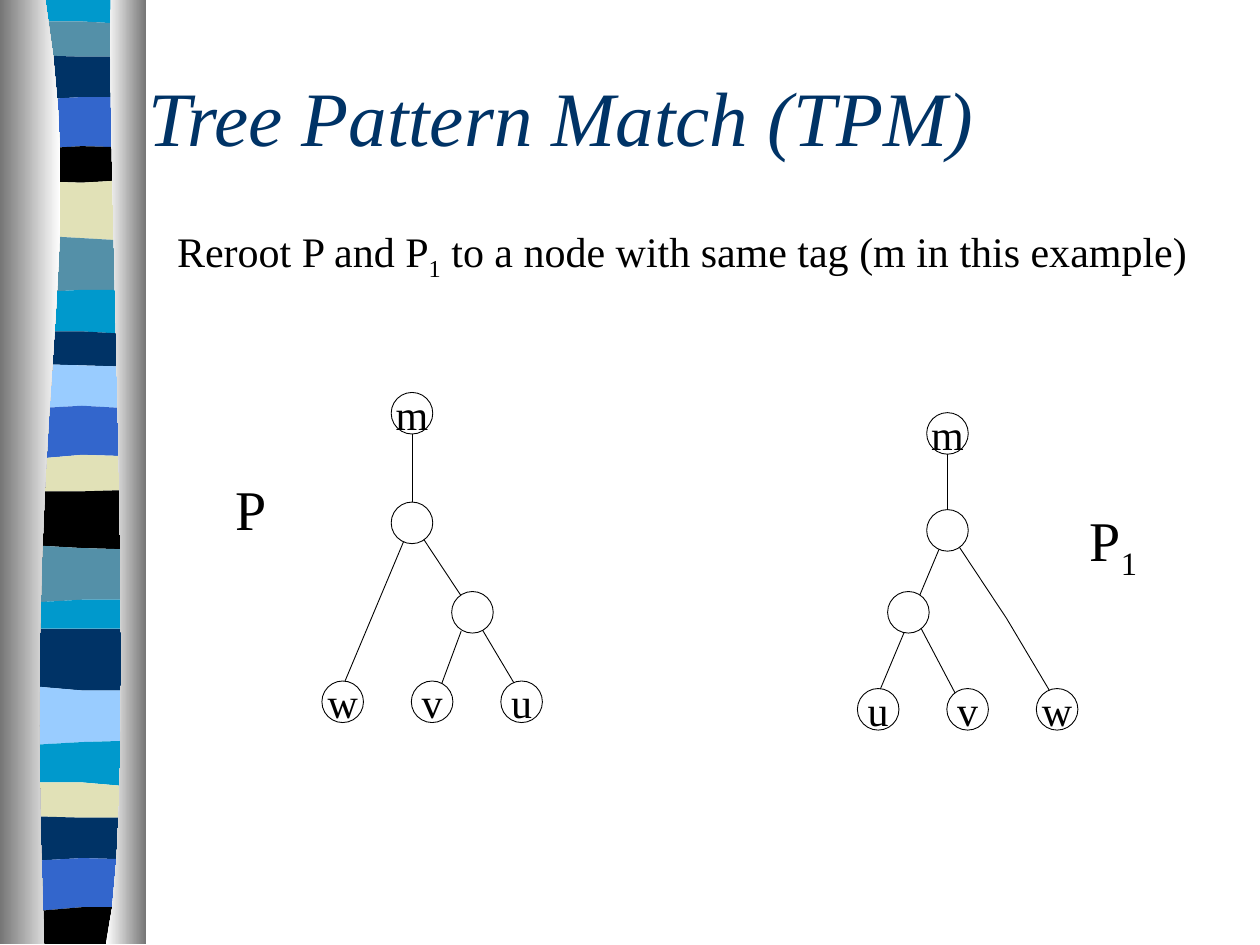
from lxml import etree
from pptx import Presentation
from pptx.dml.color import RGBColor
from pptx.enum import shapes, text
from pptx.oxml.ns import qn
from pptx.util import Inches, Pt

FONT = "Times New Roman"
COLORS = {
    "navy": "003366", "cyan": "0099CC", "teal": "5490A8", "blue": "3366CC",
    "sky": "99CCFF", "sand": "E1E1B7", "black": "000000", "white": "FFFFFF",
    "grey": "767676",
}
# Each stripe: colour, then the height of its upper edge at three places across
STRIPES = [
    ("cyan", 0, 0, 0), ("teal", 0.17, 0.17, 0.19), ("navy", 0.44, 0.45, 0.45),
    ("blue", 0.79, 0.77, 0.77), ("black", 1.18, 1.16, 1.17),
    ("sand", 1.44, 1.45, 1.43), ("teal", 1.87, 1.89, 1.91),
    ("cyan", 2.32, 2.3, 2.3), ("navy", 2.63, 2.63, 2.65),
    ("sky", 2.89, 2.9, 2.91), ("blue", 3.24, 3.22, 3.24),
    ("sand", 3.64, 3.61, 3.62), ("black", 3.9, 3.9, 3.89),
    ("teal", 4.33, 4.35, 4.36), ("cyan", 4.78, 4.76, 4.76),
    ("navy", 4.99, 4.99, 4.99), ("sky", 5.45, 5.48, 5.48),
    ("cyan", 5.91, 5.89, 5.88), ("sand", 6.21, 6.21, 6.24),
    ("navy", 6.48, 6.49, 6.49), ("blue", 6.83, 6.81, 6.82),
    ("black", 7.23, 7.2, 7.2),
]
RIBBON_BOTTOM = 7.49
STRIPE_XS = (0.3, 0.65, 1.0)
NODE_SIZE = 0.33
LEAF_GAP = 0.71

# Inner nodes are (label, centre x, centre y); leaves stand in an even row
TREE_P = {
    "edges": [(3.27, 3.36, 3.27, 4.14), (3.27, 4.14, 3.74, 4.85),
              (3.27, 4.14, 2.64, 5.64), (3.66, 5.01, 3.43, 5.63),
              (3.74, 4.85, 4.21, 5.64)],
    "inner": [("m", 3.27, 3.28), ("", 3.27, 4.15), ("", 3.75, 4.86)],
    "leaves": ("wvu", 2.72, 5.57),
}
TREE_P1 = {
    "edges": [(7.52, 3.51, 7.52, 4.3), (7.52, 4.2, 7.99, 4.91),
              (7.52, 4.2, 6.89, 5.7), (7.28, 4.93, 7.68, 5.69),
              (7.99, 4.91, 8.46, 5.7)],
    "inner": [("m", 7.52, 3.44), ("", 7.52, 4.21), ("", 7.21, 4.86)],
    "leaves": ("uvw", 6.97, 5.63),
}


def rgb(name):
    return RGBColor.from_string(COLORS[name])


def bezier(*controls, steps=14):
    """Points along a Bezier curve."""
    def blend(points, t):
        while len(points) > 1:
            points = [tuple(a + (b - a) * t for a, b in zip(p, q))
                      for p, q in zip(points, points[1:])]
        return points[0]
    return [blend(controls, i / steps) for i in range(steps + 1)]


def add_outline(slide, points):
    start, *rest = [(Inches(x), Inches(y)) for x, y in points]
    builder = slide.shapes.build_freeform(*start, scale=1.0)
    builder.add_line_segments(rest, close=True)
    outline = builder.convert_to_shape()
    outline.shadow.inherit = False
    outline.line.fill.background()
    return outline


def add_stripes(slide):
    edges = [list(zip(STRIPE_XS, heights)) for _, *heights in STRIPES]
    edges.append([(x, RIBBON_BOTTOM) for x in STRIPE_XS])
    for (color, *_), upper, lower in zip(STRIPES, edges, edges[1:]):
        stripe = add_outline(slide, upper + lower[::-1])
        stripe.fill.solid()
        stripe.fill.fore_color.rgb = rgb(color)


def add_column(slide, curve, outer_x, stops):
    """Shaded side of the ribbon, between a curve and a straight outer edge."""
    column = add_outline(
        slide, curve + [(outer_x, RIBBON_BOTTOM), (outer_x, 0)])
    column.fill.gradient()
    column.fill.gradient_angle = 0
    for stop, color in zip(column.fill.gradient_stops, stops):
        stop.color.rgb = rgb(color)


def write(frame, parts, size, color="black", align=text.PP_ALIGN.CENTER,
          italic=False, **frame_format):
    """Fill a frame with one paragraph; parts are (words, is_subscript)."""
    for name, value in frame_format.items():
        setattr(frame, name, value)
    paragraph = frame.paragraphs[0]
    paragraph.alignment = align
    for words, is_subscript in parts:
        run = paragraph.add_run()
        run.text = words
        style = {"name": FONT, "size": Pt(size), "italic": italic}
        for name, value in style.items():
            setattr(run.font, name, value)
        run.font.color.rgb = rgb(color)
        if is_subscript:
            run.font._element.set("baseline", "-25000")


def add_label(slide, box, parts, size):
    label = slide.shapes.add_textbox(*map(Inches, box))
    write(label.text_frame, parts, size, word_wrap=False)


def add_title(slide, words):
    title = slide.shapes.title
    place = {"left": 1.08, "top": 0.58, "width": 8.67, "height": 0.67}
    for name, value in place.items():
        setattr(title, name, Inches(value))
    write(title.text_frame, [(words, False)], 44, "navy", text.PP_ALIGN.LEFT,
          italic=True, vertical_anchor=text.MSO_ANCHOR.MIDDLE,
          auto_size=text.MSO_AUTO_SIZE.NONE)


def add_edge(slide, ends):
    edge = slide.shapes.add_connector(
        shapes.MSO_CONNECTOR.STRAIGHT, *map(Inches, ends))
    edge.line.color.rgb = rgb("black")
    edge.line.width = Pt(0.5)
    etree.SubElement(edge._element.spPr, qn("a:effectLst"))


def add_node(slide, label, x, y):
    node = slide.shapes.add_shape(
        shapes.MSO_SHAPE.OVAL, Inches(x - NODE_SIZE / 2),
        Inches(y - NODE_SIZE / 2), Inches(NODE_SIZE), Inches(NODE_SIZE))
    node.shadow.inherit = False
    node.fill.solid()
    node.fill.fore_color.rgb = rgb("white")
    node.line.color.rgb = rgb("black")
    node.line.width = Pt(0.5)
    if label:
        write(node.text_frame, [(label, False)], 24, word_wrap=False,
              vertical_anchor=text.MSO_ANCHOR.MIDDLE)


def add_tree(slide, tree):
    for ends in tree["edges"]:
        add_edge(slide, ends)
    labels, first_x, y = tree["leaves"]
    leaves = [(label, first_x + i * LEAF_GAP, y)
              for i, label in enumerate(labels)]
    for node in tree["inner"] + leaves:
        add_node(slide, *node)


def main():
    deck = Presentation()
    deck.slide_width, deck.slide_height = Inches(10), Inches(7.5)
    slide = deck.slides.add_slide(deck.slide_layouts[5])

    add_stripes(slide)
    add_column(slide, bezier((0.36, 0), (0.71, 2.16), (0.17, 2.96),
                             (0.35, RIBBON_BOTTOM)),
               0, ("grey", "white"))
    add_column(slide, bezier((0.88, 0), (0.84, 1.25), (1.11, 6.46),
                             (0.84, RIBBON_BOTTOM)),
               1.16, ("white", "grey"))

    add_title(slide, "Tree Pattern Match (TPM)")
    add_label(slide, (1.3, 1.74, 8.23, 0.56),
              [("Reroot P and P", False), ("1", True),
               (" to a node with same tag (m in this example)", False)], 24)
    add_tree(slide, TREE_P)
    add_label(slide, (1.77, 3.72, 0.44, 0.64), [("P", False)], 32)
    add_tree(slide, TREE_P1)
    add_label(slide, (8.54, 3.96, 0.59, 0.71), [("P", False), ("1", True)], 32)

    deck.save("out.pptx")


if __name__ == "__main__":
    main()
